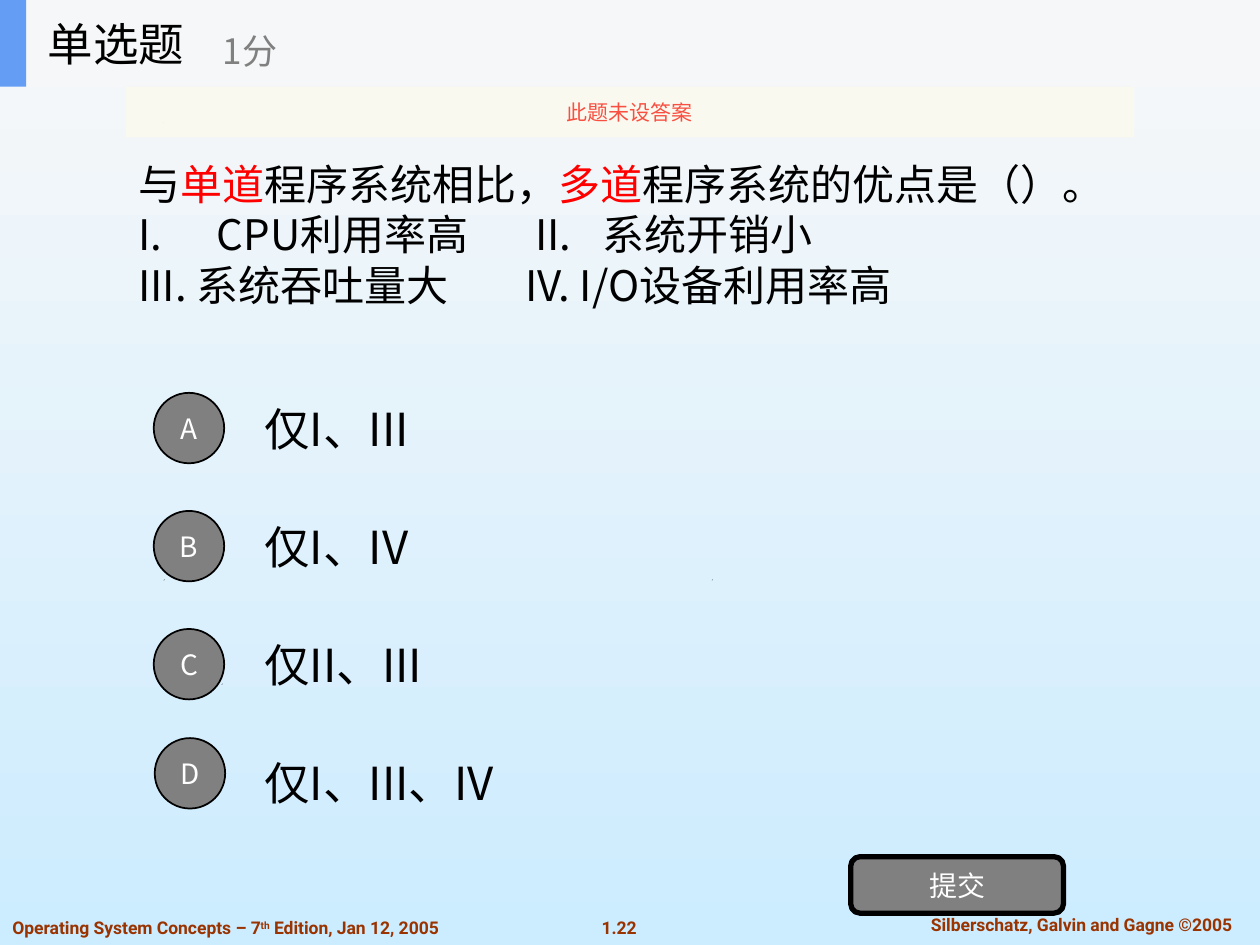
from typing import NamedTuple

from lxml.etree import SubElement
from pptx import Presentation
from pptx.dml.color import RGBColor
from pptx.enum.shapes import MSO_SHAPE as Preset
from pptx.enum.text import MSO_ANCHOR as Anchor, PP_ALIGN as Align
from pptx.oxml.ns import qn
from pptx.util import Cm, Pt

COLORS = {
    "black": "000000", "white": "FFFFFF", "gray": "808080", "red": "FF0000",
    "footer": "993300", "header": "F6F7F8", "accent": "639EF4",
    "notice": "FBFAEF", "notice_text": "F84F41",
    "sky_top": "F8F8F8", "sky_bottom": "CCECFF",
}
CJK, LATIN = "Noto Sans CJK SC", "Roboto"


class Box(NamedTuple):
    left: float
    top: float
    width: float
    height: float

    def lengths(self) -> list:
        return [Cm(value) for value in self]


class Style(NamedTuple):
    size: float
    color: str = "black"
    font: str = CJK
    bold: bool = False
    align: Align = Align.LEFT


class Option(NamedTuple):
    letter: str
    answer: str
    circle_left: float
    circle_top: float


OPTIONS = [
    Option("A", "仅I、III", 3.1, 7.92),
    Option("B", "仅I、IV", 3.1, 10.3),
    Option("C", "仅II、III", 3.1, 12.68),
    Option("D", "仅I、III、IV", 3.12, 14.88),
]
OPTION_TOP, OPTION_PITCH = 7.75, 2.38
SPECKS = [(4.47, 13.78), (3.3, 11.68), (14.35, 11.68), (3.28, 2.46)]
BUTTON_TEXT = Style(16, "white", align=Align.CENTER)
FOOTER_TEXT = Style(10, "footer", LATIN, True)


def rgb(name: str) -> RGBColor:
    return RGBColor.from_string(COLORS[name])


def style_paragraph(paragraph, style: Style) -> None:
    paragraph.alignment = style.align
    font = paragraph.font
    font.size, font.name, font.bold = Pt(style.size), style.font, style.bold
    font.color.rgb = rgb(style.color)
    defaults = paragraph._p.pPr.find(qn("a:defRPr"))
    SubElement(defaults, qn("a:ea")).set("typeface", style.font)


def write(shape, text: str, style: Style) -> None:
    frame = shape.text_frame
    frame.word_wrap = True
    frame.vertical_anchor = Anchor.MIDDLE
    paragraph = frame.paragraphs[0]
    paragraph.add_run().text = text
    style_paragraph(paragraph, style)


def add_text(shapes, box: Box, text: str, style: Style):
    shape = shapes.add_textbox(*box.lengths())
    write(shape, text, style)
    return shape


def add_block(shapes, preset: Preset, box: Box, fill: str, line_width: float = 0):
    shape = shapes.add_shape(preset, *box.lengths())
    shape.shadow.inherit = False
    shape.fill.solid()
    shape.fill.fore_color.rgb = rgb(fill)
    if line_width:
        shape.line.color.rgb = rgb("black")
        shape.line.width = Pt(line_width)
    else:
        shape.line.fill.background()
    return shape


def add_tabs(paragraph, *stops: float) -> None:
    tabs = SubElement(paragraph._p.get_or_add_pPr(), qn("a:tabLst"))
    for stop in stops:
        SubElement(tabs, qn("a:tab"), pos=str(Cm(stop)), algn="l")


def add_background(slide) -> None:
    fill = slide.background.fill
    fill.gradient()
    fill.gradient_angle = 270
    for stop, name in zip(fill.gradient_stops, ("sky_top", "sky_bottom")):
        stop.color.rgb = rgb(name)


def add_specks(shapes) -> None:
    """Draw the tiny stray marks of the slide design."""
    for left, top in SPECKS:
        builder = shapes.build_freeform(Cm(left), Cm(top + 0.02))
        builder.add_line_segments([(Cm(left + 0.02), Cm(top)), (Cm(left + 0.01), Cm(top + 0.02))])
        speck = builder.convert_to_shape()
        speck.shadow.inherit = False
        speck.fill.solid()
        speck.fill.fore_color.rgb = rgb("black")
        speck.line.fill.background()


def add_footer(shapes) -> None:
    centered = FOOTER_TEXT._replace(align=Align.CENTER)
    add_text(shapes, Box(11.66, 18.36, 1.64, 0.69), "1.22", centered)
    add_text(shapes, Box(18.03, 18.29, 7.54, 0.69), "Silberschatz, Galvin and Gagne ©2005", centered)
    book = add_text(shapes, Box(0, 18.36, 9.58, 0.69), "Operating System Concepts – 7", FOOTER_TEXT)
    paragraph = book.text_frame.paragraphs[0]
    ordinal = paragraph.add_run()
    ordinal.text = "th"
    ordinal._r.get_or_add_rPr().set("baseline", "30000")
    paragraph.add_run().text = " Edition, Jan 12, 2005"


def add_question(shapes) -> None:
    frame = shapes.add_textbox(*Box(2.54, 1.75, 20.32, 5.94).lengths()).text_frame
    frame.word_wrap = True
    frame.vertical_anchor = Anchor.MIDDLE
    stem = frame.paragraphs[0]
    for text, color in [("与", None), ("单道", "red"), ("程序系统相比，", None),
                        ("多道", "red"), ("程序系统的优点是（）。", None)]:
        run = stem.add_run()
        run.text = text
        if color:
            run.font.color.rgb = rgb(color)

    first_row = frame.add_paragraph()
    first_row.add_run().text = "CPU利用率高\tII.\t系统开销小"
    properties = first_row._p.get_or_add_pPr()
    properties.set("marL", str(Cm(1.58)))
    properties.set("indent", str(-Cm(1.58)))
    SubElement(properties, qn("a:buFont"), typeface=CJK)
    SubElement(properties, qn("a:buAutoNum"), type="romanUcPeriod")
    add_tabs(first_row, 8, 9.35)

    second_row = frame.add_paragraph()
    second_row.add_run().text = "III. 系统吞吐量大\tIV. I/O设备利用率高"
    add_tabs(second_row, 7.8)
    for paragraph in frame.paragraphs:
        style_paragraph(paragraph, Style(24))


def add_options(shapes) -> None:
    for row, option in enumerate(OPTIONS):
        answer_box = Box(5.08, OPTION_TOP + row * OPTION_PITCH, 17.78, 1.78)
        add_text(shapes, answer_box, option.answer, Style(26))
        circle_box = Box(option.circle_left, option.circle_top, 1.42, 1.42)
        circle = add_block(shapes, Preset.OVAL, circle_box, "gray", 1)
        write(circle, option.letter, BUTTON_TEXT)


def add_header(shapes) -> None:
    header = shapes.add_group_shape().shapes
    add_block(header, Preset.RECTANGLE, Box(0, 0, 25.4, 1.75), "header")
    add_block(header, Preset.RECTANGLE, Box(0, 0, 0.53, 1.75), "accent")
    add_text(header, Box(0.71, 0, 5.28, 1.75), "单选题", Style(26))
    add_text(header, Box(4.24, 0.3, 6.35, 1.42), "1分", Style(20, "gray"))


def add_notice(shapes) -> None:
    notice = add_block(shapes, Preset.RECTANGLE, Box(2.54, 1.75, 20.32, 1.02), "notice")
    color = notice.fill._xPr.find(qn("a:solidFill"))[0]
    SubElement(color, qn("a:alpha"), val="90000")
    write(notice, "此题未设答案", Style(12, "notice_text", align=Align.CENTER))


def main() -> None:
    presentation = Presentation()
    presentation.slide_width, presentation.slide_height = Cm(25.4), Cm(19.05)
    slide = presentation.slides.add_slide(presentation.slide_layouts[6])
    shapes = slide.shapes
    add_background(slide)
    add_specks(shapes)
    add_footer(shapes)
    add_question(shapes)
    add_options(shapes)
    submit = add_block(shapes, Preset.ROUNDED_RECTANGLE, Box(17.15, 17.27, 4.29, 1.14), "gray", 3)
    write(submit, "提交", BUTTON_TEXT)
    add_header(shapes)
    add_notice(shapes)
    presentation.save("out.pptx")


if __name__ == "__main__":
    main()
